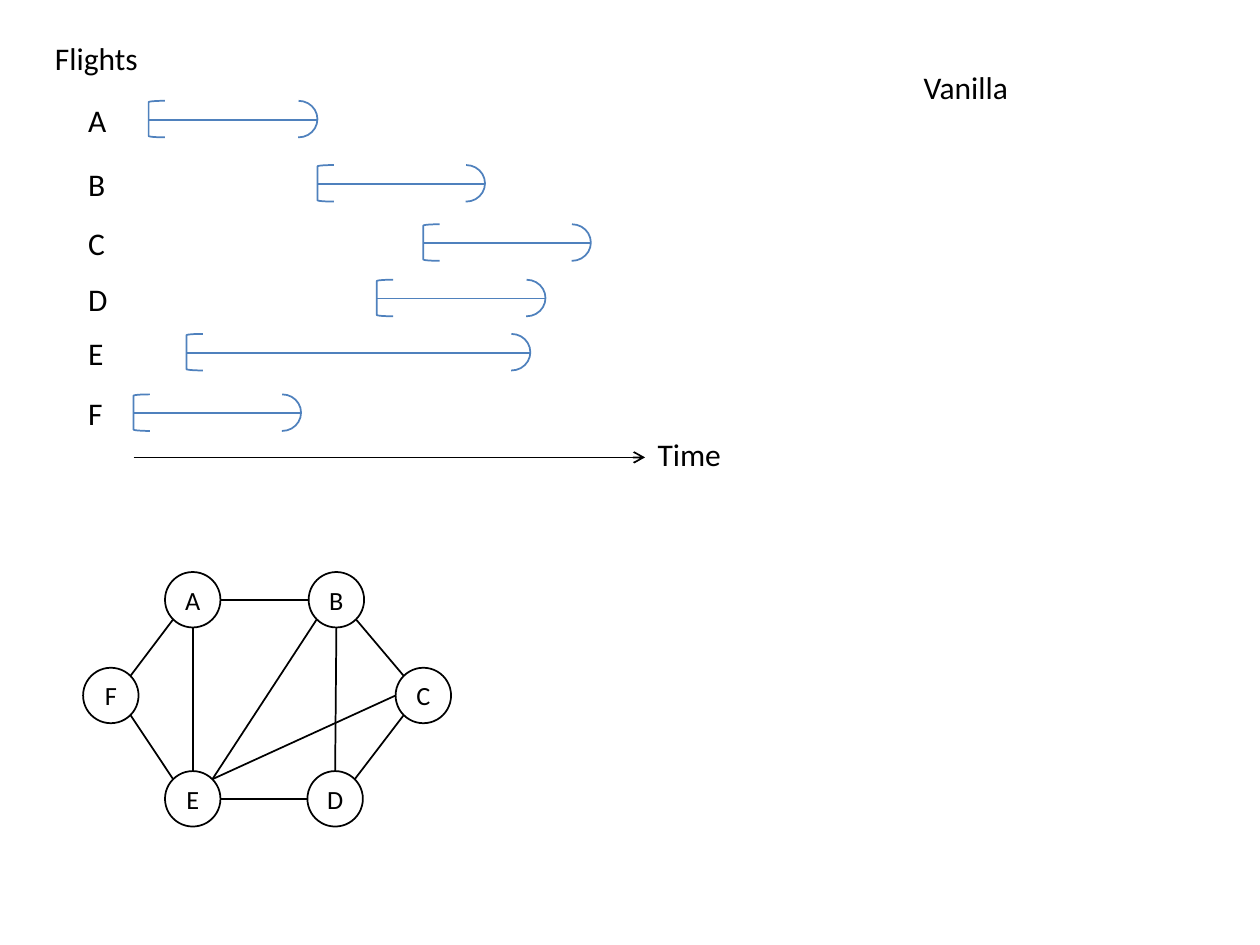
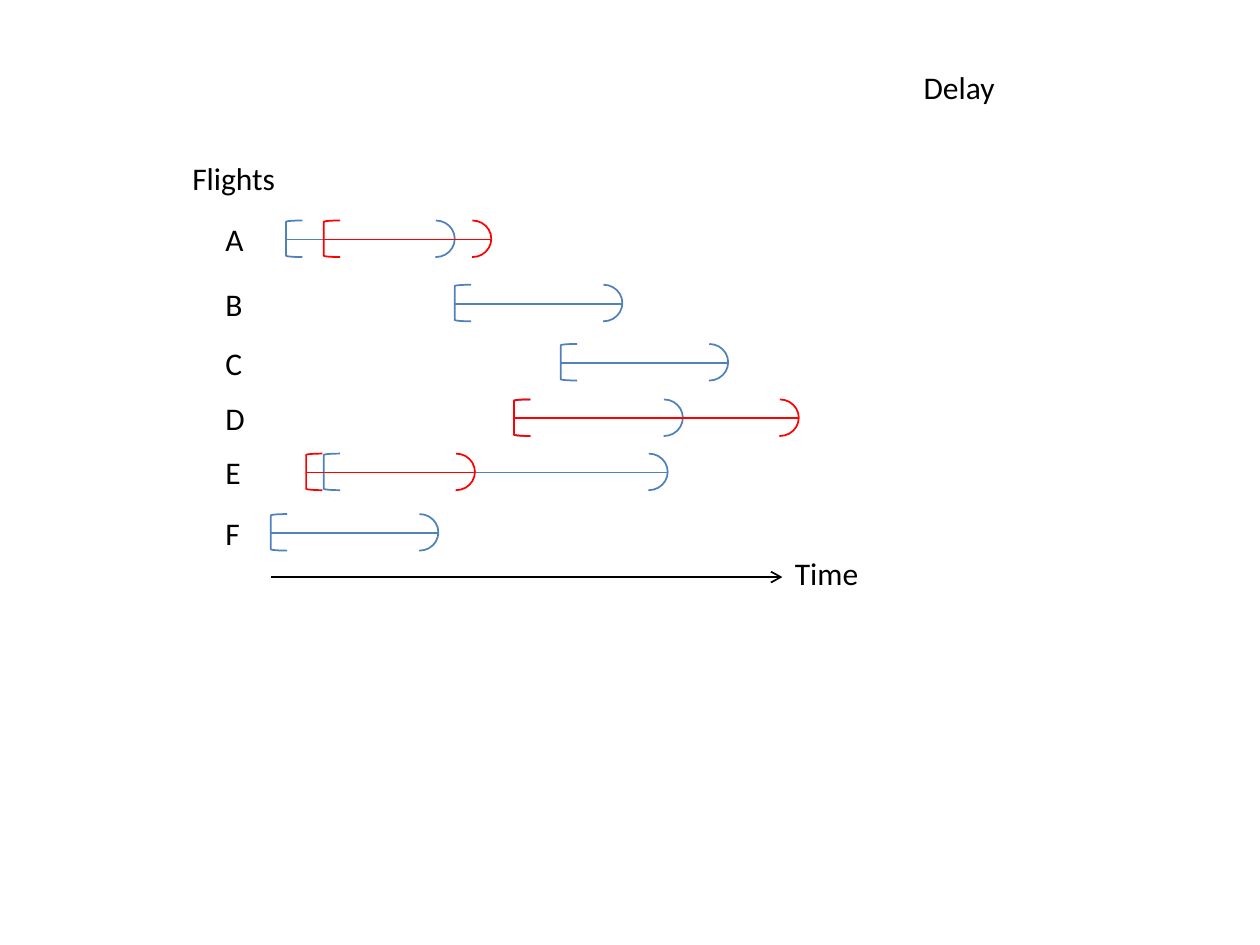
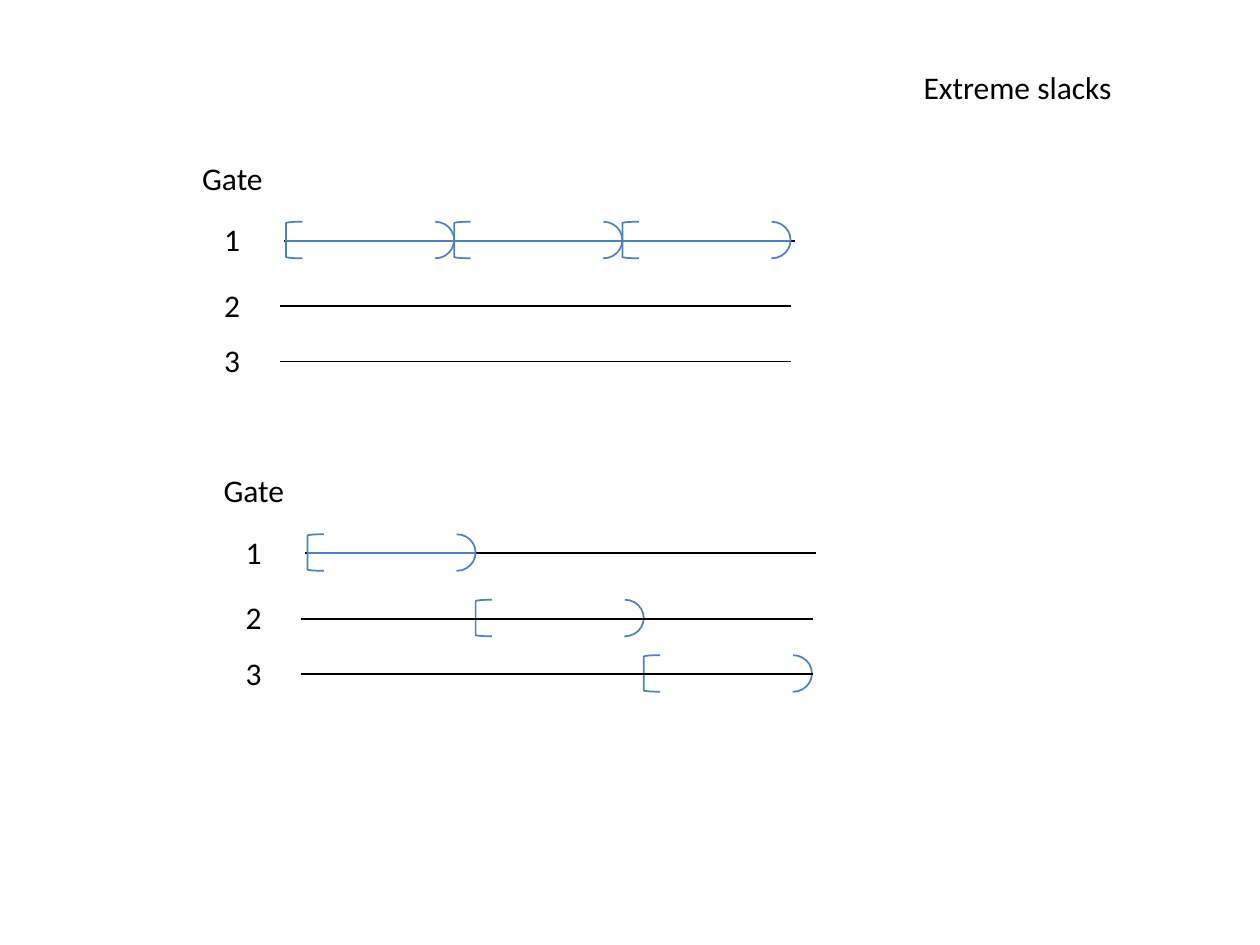
from math import cos, radians, sin

from lxml import etree
from pptx import Presentation
from pptx.dml.color import RGBColor
from pptx.enum.shapes import MSO_CONNECTOR, MSO_SHAPE
from pptx.enum.text import MSO_ANCHOR, MSO_AUTO_SIZE, PP_ALIGN
from pptx.oxml.ns import qn
from pptx.util import Inches, Pt

STRAIGHT = MSO_CONNECTOR.STRAIGHT
ARC, BRACKET, OVAL = MSO_SHAPE.ARC, MSO_SHAPE.LEFT_BRACKET, MSO_SHAPE.OVAL
LEFT, CENTER = PP_ALIGN.LEFT, PP_ALIGN.CENTER
TOP, MIDDLE = MSO_ANCHOR.TOP, MSO_ANCHOR.MIDDLE
FIT_SHAPE = MSO_AUTO_SIZE.SHAPE_TO_FIT_TEXT

COLORS = {"ink": "000000", "planned": "4F81BD", "changed": "FF0000"}
FONT = "Calibri"
LABEL_H = 0.4
LABEL_X = 0.3
SLOT = 1.335      # length of a regular flight
AXIS_LEN = 4.06

# Rows of the flight chart: centre height, start and end of each flight
FLIGHTS = {
    "A": (0.69, 0.88, 2.22),
    "B": (1.2, 2.22, 3.55),
    "C": (1.67, 3.06, 4.39),
    "D": (2.11, 2.69, 4.03),
    "E": (2.54, 1.18, 3.91),
    "F": (3.02, 0.76, 2.09),
}
DELAYS = {"A": (1.18, 2.51), "E": (1.04, 2.38), "D": (2.69, 4.95)}
GATE_ROWS = (0.7, 1.22, 1.66)

# Conflict graph: node centres, and edges as node, angle, node, angle
RADIUS = 0.22
NODES = {
    "A": (0.87, 0.22), "B": (2.01, 0.22), "F": (0.22, 0.98),
    "E": (0.87, 1.8), "D": (2, 1.8), "C": (2.7, 0.98),
}
EDGES = [
    ("A", 0, "B", 180), ("E", 0, "D", 180),
    ("E", 225, "F", 45), ("A", 135, "F", 315),
    ("D", 315, "C", 135), ("C", 225, "B", 45),
    ("E", 270, "A", 90), ("D", 270, "B", 90),
    ("E", 315, "B", 135), ("E", 315, "C", 180),
]


def rgb(name):
    return RGBColor.from_string(COLORS[name])


def write(sp, text, size=18, align=LEFT, anchor=TOP):
    tf = sp.text_frame
    tf.word_wrap = True
    tf.vertical_anchor = anchor
    p = tf.paragraphs[0]
    p.text = text
    p.alignment = align
    p.font.name, p.font.size = FONT, Pt(size)
    p.font.color.rgb = rgb("ink")
    return tf


def add_label(shapes, x, y, w, text, align=LEFT):
    sp = shapes.add_textbox(Inches(x), Inches(y), Inches(w), Inches(LABEL_H))
    write(sp, text, align=align).auto_size = FIT_SHAPE


def add_line(shapes, x1, y1, x2, y2, color="ink", arrow=False):
    line = shapes.add_connector(STRAIGHT, Inches(x1), Inches(y1),
                                Inches(x2), Inches(y2))
    line.line.color.rgb = rgb(color)
    line.line.width = Pt(1)
    if arrow:
        etree.SubElement(line.line._get_or_add_ln(), qn("a:tailEnd"), type="arrow")
    etree.SubElement(line.element.spPr, qn("a:effectLst"))


def add_outline(shapes, kind, x, y, w, h, color="ink"):
    sp = shapes.add_shape(kind, Inches(x), Inches(y), Inches(w), Inches(h))
    sp.shadow.inherit = False
    sp.fill.background()
    sp.line.color.rgb = rgb(color)
    sp.line.width = Pt(1)
    return sp


def add_interval(slide, x1, x2, y, color="planned"):
    """Half-open interval [x1, x2) centred on height y."""
    shapes = slide.shapes.add_group_shape().shapes
    arc = add_outline(shapes, ARC, x2 - 0.3, y - 0.15, 0.3, 0.29, color)
    arc.adjustments[0], arc.adjustments[1] = 162, 54.725
    add_line(shapes, x1, y, x2, y, color)
    add_outline(shapes, BRACKET, x1, y - 0.15, 0.13, 0.29, color)


def add_slide(prs, title):
    slide = prs.slides.add_slide(prs.slide_layouts[5])
    sp = slide.shapes.title
    sp.left, sp.top = Inches(7.23), Inches(0.49)
    sp.width, sp.height = Inches(2.22), Inches(LABEL_H)
    write(sp, title).auto_size = FIT_SHAPE
    return slide


def add_flight_chart(slide, x, y, delays=None):
    shapes = slide.shapes
    add_label(shapes, x, y, 0.93, "Flights", CENTER)
    for name, (row, start, end) in FLIGHTS.items():
        add_label(shapes, x + LABEL_X, y + row - 0.2, 0.31, name)
        add_interval(slide, x + start, x + end, y + row)
    # Changed times over the planned ones
    for name, (start, end) in (delays or {}).items():
        add_interval(slide, x + start, x + end, y + FLIGHTS[name][0], "changed")
    # Time axis
    start, end, row = x + 0.76, x + 0.76 + AXIS_LEN, y + 3.37
    add_line(shapes, start, row, end, row, arrow=True)
    add_label(shapes, end, row - 0.23, 0.78, "Time")


def add_conflict_graph(slide, x, y):
    shapes = slide.shapes
    for name, (cx, cy) in NODES.items():
        sp = add_outline(shapes, OVAL, x + cx - RADIUS, y + cy - RADIUS,
                         2 * RADIUS, 2 * RADIUS)
        tf = write(sp, name, 15, CENTER, MIDDLE)
        tf.margin_left = tf.margin_right = tf.margin_top = tf.margin_bottom = 0

    def rim(name, angle):
        cx, cy = NODES[name]
        a = radians(angle)
        return x + cx + RADIUS * cos(a), y + cy + RADIUS * sin(a)

    for first, angle1, second, angle2 in EDGES:
        add_line(shapes, *rim(first, angle1), *rim(second, angle2))


def add_gate_chart(slide, x, y, gates):
    """gates holds the gate index of each successive flight."""
    shapes = slide.shapes
    add_label(shapes, x, y, 0.93, "Gate", CENTER)
    for i, row in enumerate(GATE_ROWS):
        add_label(shapes, x + LABEL_X, y + row - 0.21, 0.31, str(i + 1))

    def add_axis(start, row):
        add_line(shapes, x + start, y + row, x + start + AXIS_LEN, y + row)

    # The first axis lies behind the flights, the others in front
    add_axis(0.87, GATE_ROWS[0])
    for i, gate in enumerate(gates):
        start = x + 0.89 + i * SLOT
        add_interval(slide, start, start + SLOT, y + GATE_ROWS[gate])
    for row in GATE_ROWS[1:]:
        add_axis(0.84, row)


prs = Presentation()
prs.slide_width, prs.slide_height = Inches(10), Inches(7.5)

# Schedule and its conflicts
slide = add_slide(prs, "Vanilla")
add_flight_chart(slide, 0.3, 0.26)
add_conflict_graph(slide, 0.66, 4.54)

# Schedule with delays
slide = add_slide(prs, "Delay")
add_flight_chart(slide, 1.39, 1.21, DELAYS)

# Two gate assignments
slide = add_slide(prs, "Extreme slacks")
add_gate_chart(slide, 1.38, 1.21, (0, 0, 0))
add_gate_chart(slide, 1.55, 3.69, (0, 1, 2))

prs.save("out.pptx")
